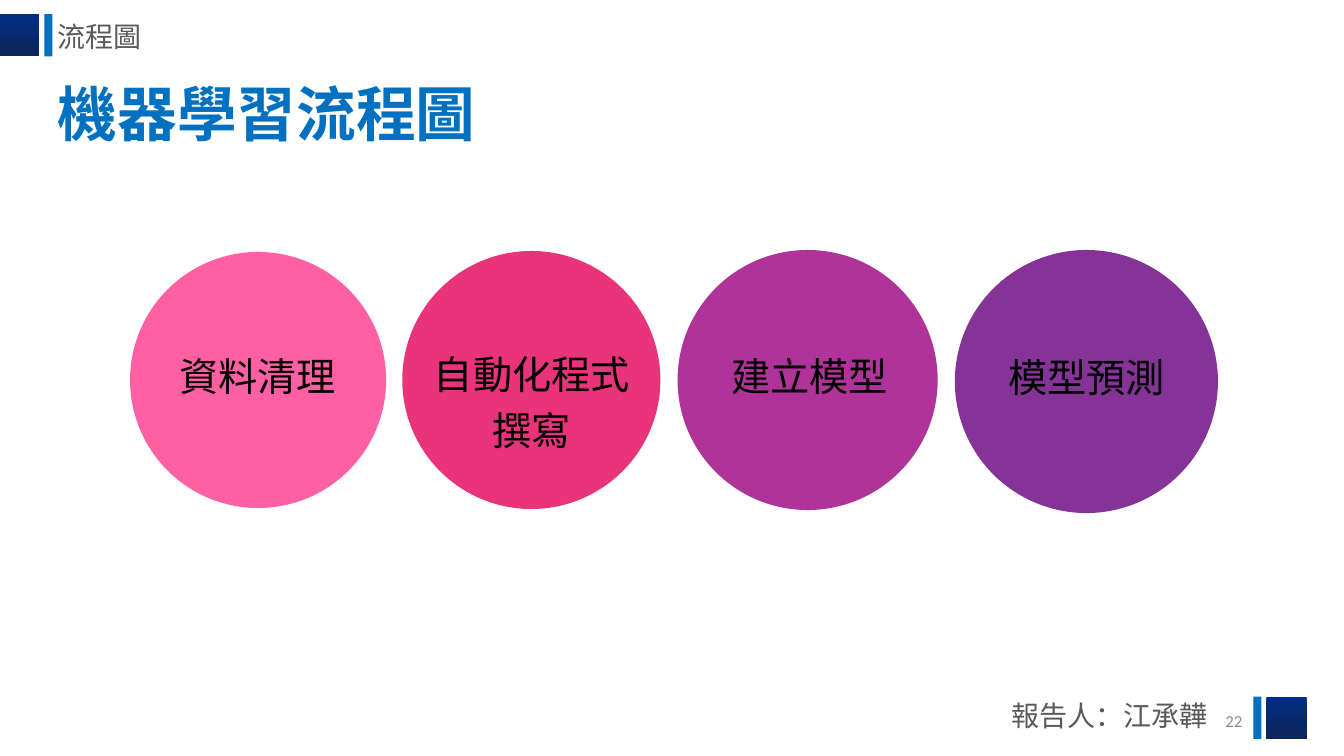
"""Build the machine learning workflow slide with four stage circles."""
from pptx import Presentation
from pptx.dml.color import RGBColor
from pptx.enum.shapes import MSO_SHAPE as Shape
from pptx.enum.text import MSO_ANCHOR as Anchor, MSO_AUTO_SIZE as AutoSize, PP_ALIGN as Align
from pptx.oxml.ns import qn
from pptx.util import Inches, Pt
from lxml.etree import SubElement

CJK = "Noto Sans CJK SC"


def paint(color, hex_value):
    color.rgb = RGBColor.from_string(hex_value)


def write(box, text, size, color, align=Align.LEFT, font=CJK, anchor=Anchor.MIDDLE):
    frame = box.text_frame
    frame.text = text
    frame.word_wrap = True
    frame.auto_size = AutoSize.NONE
    frame.vertical_anchor = anchor
    paragraph = frame.paragraphs[0]
    paragraph.alignment = align
    paragraph.font.size = Pt(size)
    paragraph.font.name = font
    paint(paragraph.font.fill.fore_color if paragraph.font.fill.type else paragraph.font.color, color)
    SubElement(paragraph.font._element, qn("a:ea"), typeface=font)
    return frame


prs = Presentation()
prs.slide_width, prs.slide_height = Inches(13.33), Inches(7.5)
slide = prs.slides.add_slide(prs.slide_layouts[5])
shapes = slide.shapes

for block_left, stripe_left, top in [(-0.01, 0.44, 0.14), (12.56, 12.43, 6.91)]:
    block = shapes.add_shape(Shape.RECTANGLE, Inches(block_left), Inches(top), Inches(0.4), Inches(0.42))
    block.fill.gradient()
    block.fill.gradient_angle = 270
    for stop, shade in zip(block.fill.gradient_stops, ["012D86", "0E2557"]):
        paint(stop.color, shade)
    stripe = shapes.add_shape(Shape.RECTANGLE, Inches(stripe_left), Inches(top), Inches(0.08), Inches(0.42))
    stripe.fill.solid()
    paint(stripe.fill.fore_color, "0070C0")
    for bar in (block, stripe):
        bar.line.fill.background()
        bar.shadow.inherit = False

stages = [
    ("資料清理", "FF388C", 1.29, 2.5, 2.54, 1.62, 3.4, 1.87, 0.52),
    ("自動化程式撰寫", "E40059", 3.99, 2.49, 2.56, 4.27, 3.38, 2.01, 1.08),
    ("建立模型", "9C007F", 6.72, 2.48, 2.58, 7.22, 3.4, 1.62, 0.52),
    ("模型預測", "68007F", 9.47, 2.48, 2.61, 9.89, 3.41, 1.77, 0.52),
]
for stage, color, left, top, diameter, *label_place in stages:
    circle = shapes.add_shape(Shape.OVAL, Inches(left), Inches(top), Inches(diameter), Inches(diameter))
    circle.fill.solid()
    paint(circle.fill.fore_color, color)
    tint = circle.fill._xPr.find(qn("a:solidFill"))[0]
    SubElement(tint, qn("a:alpha"), val="80000")
    circle.line.fill.background()
    circle.shadow.inherit = False

    label = shapes.add_textbox(*map(Inches, label_place))
    frame = write(label, stage, 28, "000000", Align.CENTER, anchor=Anchor.TOP)
    frame.margin_left = frame.margin_right = frame.margin_top = frame.margin_bottom = 0
    frame.paragraphs[0].line_spacing = 1.2

title = shapes.title
title.left, title.top, title.width, title.height = map(Inches, (0.44, 0.56, 4.41, 1.11))
write(title, "機器學習流程圖", 42.6, "0070C0", Align.CENTER).paragraphs[0].font.bold = True

section = shapes.add_textbox(Inches(0.47), Inches(0.06), Inches(4.12), Inches(0.61))
write(section, "流程圖", 20, "595959")
presenter = shapes.add_textbox(Inches(9.93), Inches(6.79), Inches(3.26), Inches(0.61))
write(presenter, "報告人：江承韡", 20, "595959")
page_number = shapes.add_textbox(Inches(9.42), Inches(6.95), Inches(3), Inches(0.4))
write(page_number, "22", 12, "8C8C8C", Align.RIGHT, "Calibri")

prs.save("out.pptx")
